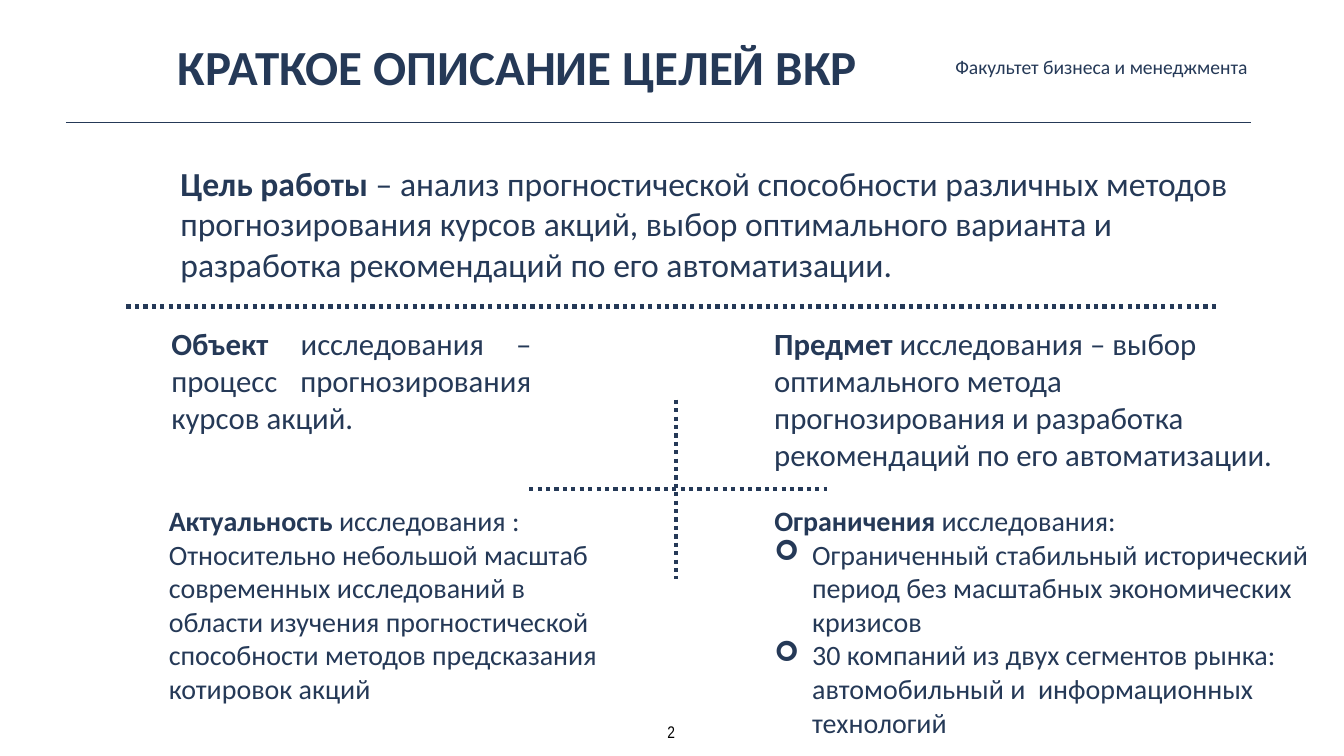
from pptx import Presentation
from pptx.dml.color import RGBColor
from pptx.enum.dml import MSO_LINE_DASH_STYLE as Dash
from pptx.enum.shapes import MSO_CONNECTOR as Conn
from pptx.enum.text import MSO_ANCHOR as Anchor, MSO_AUTO_SIZE as Auto, PP_ALIGN as Al
from pptx.oxml.ns import qn
from pptx.util import Pt
from lxml.etree import SubElement

COLORS = {"navy": "253957", "black": "000000"}

# Content: a paragraph is a (bold lead, plain rest) pair
TITLE = [("КРАТКОЕ ОПИСАНИЕ ЦЕЛЕЙ ВКР", "")]
FACULTY = [("", "Факультет бизнеса и менеджмента")]
NUMBER = [("", "2")]
GOAL = [("Цель работы", " – анализ прогностической способности различных методов "
         "прогнозирования курсов акций, выбор оптимального варианта и "
         "разработка рекомендаций по его автоматизации.")]
OBJECT = [("Объект ", "исследования – процесс прогнозирования курсов акций.")]
SUBJECT = [("Предмет ", "исследования – выбор оптимального метода прогнозирования "
            "и разработка рекомендаций по его автоматизации.")]
RELEVANCE = [("Актуальность ", "исследования : Относительно небольшой масштаб "
              "современных исследований в области изучения прогностической "
              "способности методов предсказания котировок акций")]
LIMITS = [
    ("Ограничения ", "исследования:"),
    ("", "Ограниченный стабильный исторический период без масштабных "
         "экономических кризисов"),
    ("", "30 компаний из двух сегментов рынка: автомобильный и  "
         "информационных технологий"),
]

# Layout, in points
WIDTH, HEIGHT = 1920, 1080
LEFT, RIGHT = 94.3, 1787.8
COL_2 = 1099
ROW_1, ROW_2 = 460.8, 715.7
WIDE_INSETS, INSETS = (5.76, 5.76), (7.2, 3.6)
INDENT = 54

# Paragraphs, left, top, width, height, size, alignment
BLOCKS = [
    (GOAL, 250.6, 229, 1537.2, 247, 48, Al.LEFT),
    (OBJECT, 237.6, ROW_1, 529.2, 167, 44, Al.JUSTIFY),
    (SUBJECT, COL_2, ROW_1, 738.7, 220.3, 44, Al.LEFT),
    (RELEVANCE, 234, ROW_2, 637.2, 346.3, 40, Al.LEFT),
]
# From x, from y, to x, to y
DIVIDERS = [
    (180.7, 437.8, 1739.5, 437.8),
    (756, 698.4, 1180.8, 698.4),
    (965.5, 571, 965.5, 826.6),
]


def rgb(name):
    return RGBColor.from_string(COLORS[name])


def place(sp, left, top, width, height):
    sp.left, sp.top, sp.width, sp.height = map(Pt, (left, top, width, height))


def set_bullet(p, char):
    """Give the paragraph a hanging bullet, or none."""
    pPr = p._p.get_or_add_pPr()
    indent = Pt(INDENT) if char else 0
    pPr.set("marL", str(indent))
    pPr.set("indent", str(-indent))
    if char:
        SubElement(pPr, qn("a:buFont"), typeface="Wingdings")
        SubElement(pPr, qn("a:buChar"), char=char)
    else:
        SubElement(pPr, qn("a:buNone"))


def write(sp, paragraphs, size, align=Al.LEFT, insets=INSETS, anchor=Anchor.TOP,
          color="navy", font="Calibri", wrap=True):
    tf = sp.text_frame
    tf.word_wrap = wrap
    tf.auto_size = Auto.NONE
    tf.vertical_anchor = anchor
    tf.margin_left = tf.margin_right = Pt(insets[0])
    tf.margin_top = tf.margin_bottom = Pt(insets[1])
    for i, parts in enumerate(paragraphs):
        p = tf.add_paragraph() if i else tf.paragraphs[0]
        p.alignment = align
        p.space_before = Pt(0)
        if len(paragraphs) > 1:
            set_bullet(p, "➢" if i else None)
        for text, bold in zip(parts, (True, False)):
            if text:
                r = p.add_run()
                r.text = text
                r.font.name, r.font.size, r.font.bold = font, Pt(size), bold
                r.font.color.rgb = rgb(color)


def add_text(slide, paragraphs, left, top, width, height, size, align, **style):
    sp = slide.shapes.add_textbox(*map(Pt, (left, top, width, height)))
    write(sp, paragraphs, size, align, **style)


def add_line(slide, ends, weight, dash=None):
    line = slide.shapes.add_connector(Conn.STRAIGHT, *map(Pt, ends))
    line.line.color.rgb = rgb("navy")
    line.line.width = Pt(weight)
    if dash:
        line.line.dash_style = dash
    SubElement(line._element.spPr, qn("a:effectLst"))


def main():
    prs = Presentation()
    prs.slide_width, prs.slide_height = Pt(WIDTH), Pt(HEIGHT)
    slide = prs.slides.add_slide(prs.slide_layouts[1])
    title, body = slide.placeholders

    # Header and slide number
    add_line(slide, (LEFT, 174.2, RIGHT, 174.2), 1)
    place(title, 248.4, 46.1, 1000.8, 104.4)
    write(title, TITLE, 70, insets=WIDE_INSETS)
    add_text(slide, FACULTY, 892.8, 72, 895, 45.4, 28, Al.RIGHT,
             insets=WIDE_INSETS, anchor=Anchor.MIDDLE)
    add_text(slide, NUMBER, 939.6, 1024.6, 38.9, 40.3, 24, Al.CENTER,
             insets=WIDE_INSETS, color="black", font="Arial Narrow", wrap=False)

    # Goal and research blocks
    for block in BLOCKS:
        add_text(slide, *block)

    # Limitations list
    place(body, COL_2, ROW_2, 892.8, 395.3)
    write(body, LIMITS, 40)

    # Dotted dividers
    for ends in DIVIDERS:
        add_line(slide, ends, 6, Dash.ROUND_DOT)

    prs.save("out.pptx")


if __name__ == "__main__":
    main()
